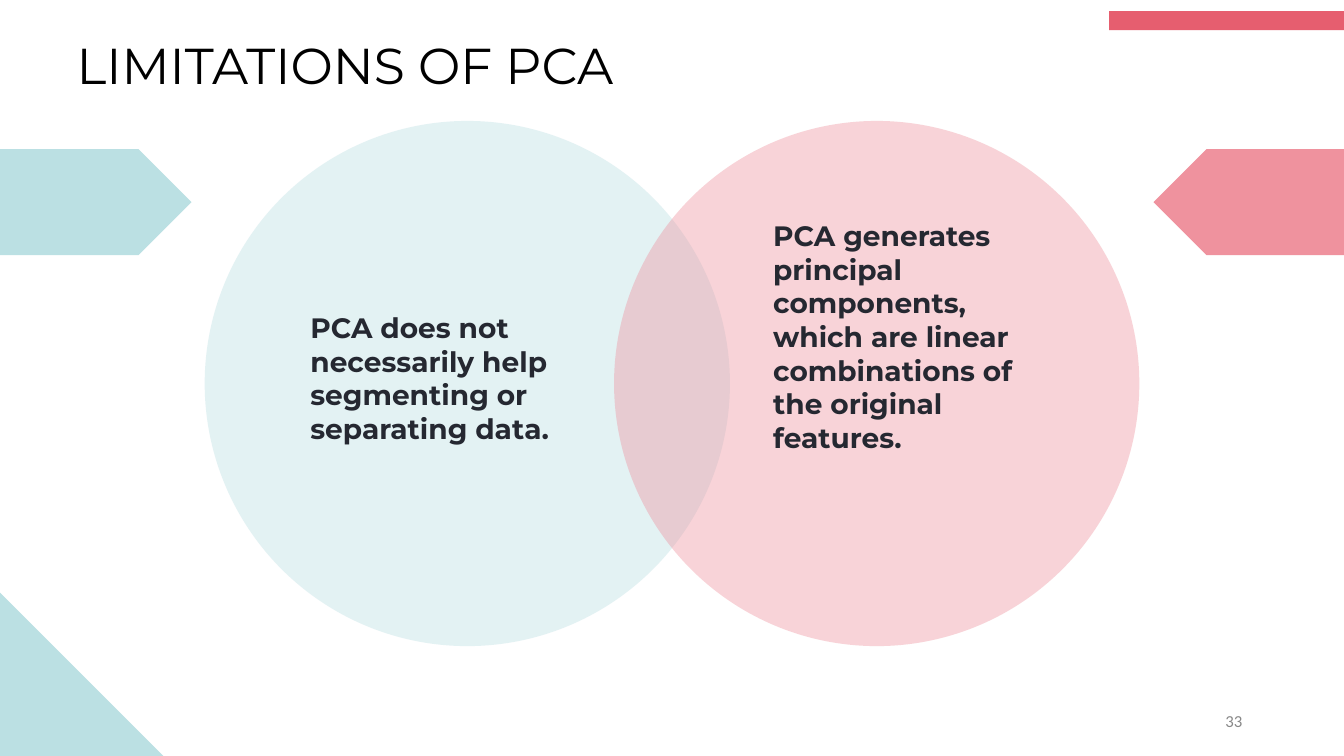
from dataclasses import dataclass

from lxml import etree
from pptx import Presentation
from pptx.dml.color import RGBColor
from pptx.enum import shapes, text
from pptx.oxml import ns
from pptx.util import Inches, Pt


@dataclass(frozen=True)
class Theme:
    teal: str = "BBE0E3"
    pink: str = "EF929E"
    rose: str = "E65E6F"
    black: str = "000000"
    ink: str = "252831"
    grey: str = "888888"
    font: str = "Montserrat"
    number_font: str = "Calibri"
    title_size: int = 36
    body_size: int = 20
    number_size: int = 12


theme = Theme()
presentation = Presentation()
presentation.slide_width = Inches(13.33)
presentation.slide_height = Inches(7.5)
slide = presentation.slides.add_slide(presentation.slide_layouts[5])


def add_block(kind, box, color, opacity=100):
    """Add a borderless shape; opacity is a percentage."""
    shape = slide.shapes.add_shape(kind, *map(Inches, box))
    shape.shadow.inherit = False
    shape.line.fill.background()
    shape.fill.solid()
    shape.fill.fore_color.rgb = RGBColor.from_string(color)
    if opacity < 100:
        fill_color = shape.fill._xPr.find(".//" + ns.qn("a:srgbClr"))
        etree.SubElement(fill_color, ns.qn("a:alpha"), val=str(opacity * 1000))
    return shape


def write(shape, words, font, size, color, margins, bold=False,
          align=text.PP_ALIGN.LEFT, anchor=text.MSO_ANCHOR.TOP):
    frame = shape.text_frame
    frame.word_wrap = True
    frame.auto_size = text.MSO_AUTO_SIZE.NONE
    frame.vertical_anchor = anchor
    frame.margin_left = frame.margin_right = Inches(margins[0])
    frame.margin_top = frame.margin_bottom = Inches(margins[1])
    frame.text = words
    paragraph = frame.paragraphs[0]
    paragraph.alignment = align
    paragraph.font.name = font
    paragraph.font.size = Pt(size)
    paragraph.font.bold = bold
    paragraph.font.color.rgb = RGBColor.from_string(color)


# Corner decorations
kinds = shapes.MSO_SHAPE
add_block(kinds.RIGHT_TRIANGLE, (0, 5.88, 1.62, 1.62), theme.teal)
add_block(kinds.RECTANGLE, (11, 0.11, 2.33, 0.19), theme.rose)

# Title and slide number
title = slide.shapes.title
title.left, title.top = Inches(0.76), Inches(0.34)
title.width, title.height = Inches(11.82), Inches(0.61)
write(title, "LIMITATIONS OF PCA", theme.font, theme.title_size, theme.black, (0, 0))

number = slide.shapes.add_textbox(*map(Inches, (9.42, 6.95, 3, 0.4)))
write(number, "33", theme.number_font, theme.number_size, theme.grey, (0.1, 0.05),
      align=text.PP_ALIGN.RIGHT, anchor=text.MSO_ANCHOR.MIDDLE)

# Overlapping circles
for left, color in ((2.03, theme.teal), (6.09, theme.pink)):
    add_block(kinds.OVAL, (left, 1.2, 5.21, 5.21), color, opacity=40)

# Side arrows pointing inwards
for left, color, rotation in ((11.44, theme.pink, 180), (0, theme.teal, 0)):
    arrow = add_block(kinds.PENTAGON, (left, 1.48, 1.9, 1.05), color)
    arrow.rotation = rotation

# Limitations
limitations = (
    (2.98, 2.98, 2.31, "PCA does not necessarily help segmenting or separating data."),
    (7.57, 2.07, 2.97, "PCA generates principal components, which are linear "
                       "combinations of the original features."),
)
for left, top, height, words in limitations:
    limitation = slide.shapes.add_textbox(*map(Inches, (left, top, 2.76, height)))
    write(limitation, words, theme.font, theme.body_size, theme.ink, (0.1, 0.1), bold=True)

presentation.save("out.pptx")
